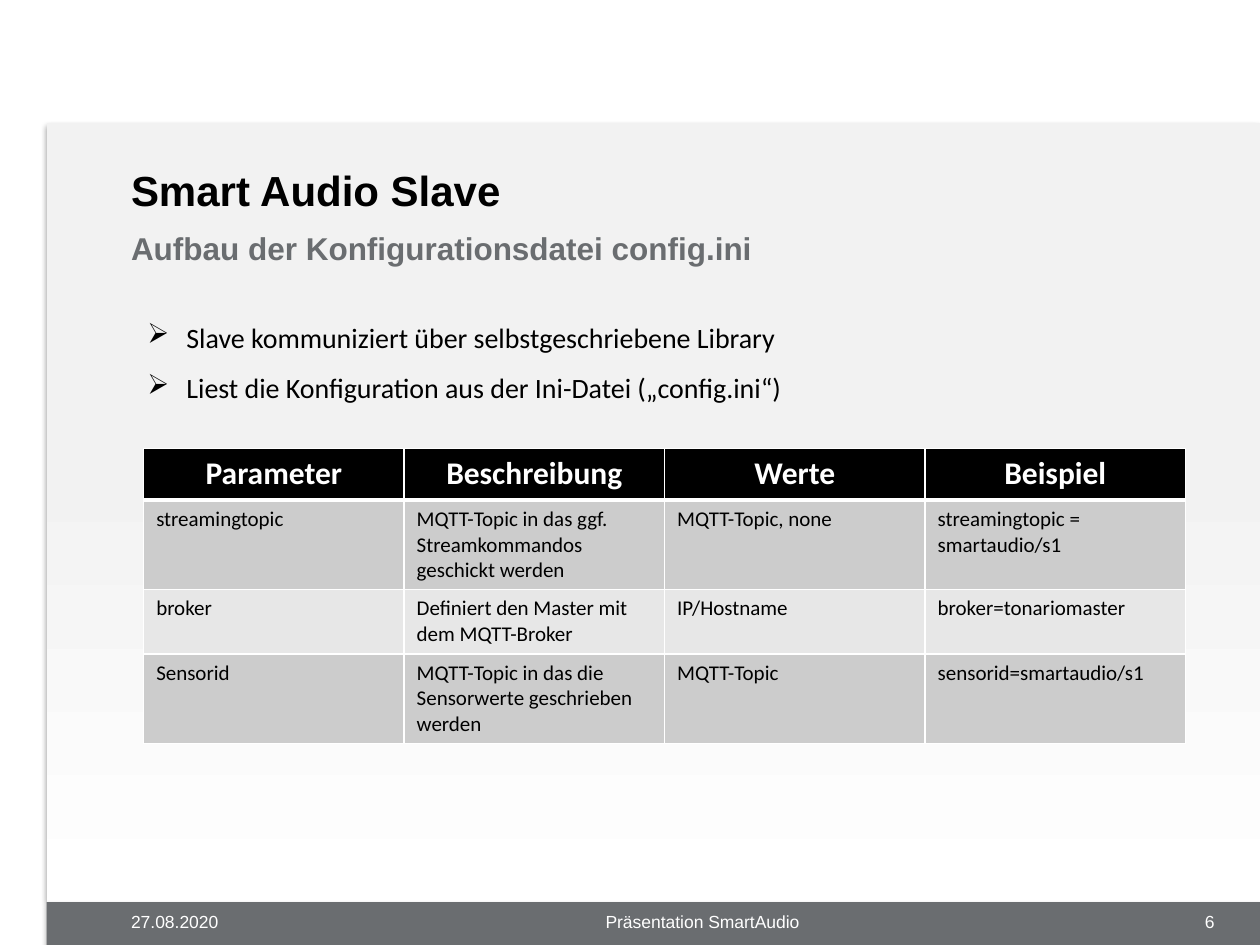
from lxml import etree
from pptx import Presentation
from pptx.dml.color import RGBColor
from pptx.enum.shapes import MSO_SHAPE
from pptx.enum.text import MSO_ANCHOR, PP_ALIGN
from pptx.oxml import parse_xml
from pptx.oxml.ns import nsdecls, qn
from pptx.util import Inches, Pt

COLORS = {
    "black": "000000", "white": "FFFFFF", "panel": "F2F2F2",
    "slate": "6A6D70", "row_dark": "CCCCCC", "row_light": "E7E7E7",
}
RGB = {name: RGBColor.from_string(value) for name, value in COLORS.items()}

deck = Presentation()
deck.slide_width, deck.slide_height = Inches(10), Inches(7.5)
page = deck.slides.add_slide(deck.slide_layouts[6])


def add_text(lines, left, top, width, height, size, color, font="Arial",
             bold=False, align=PP_ALIGN.LEFT, anchor=MSO_ANCHOR.TOP, inset=0.05):
    box = page.shapes.add_textbox(Inches(left), Inches(top), Inches(width), Inches(height))
    frame = box.text_frame
    frame.text = "\n".join(lines)
    frame.word_wrap = True
    frame.vertical_anchor = anchor
    frame.margin_left = frame.margin_right = 0
    frame.margin_top = frame.margin_bottom = Inches(inset)
    for para in frame.paragraphs:
        para.alignment = align
        style_runs(para, size, color, font, bold)
    return frame


def style_runs(para, size, color, font, bold):
    for span in para.runs:
        span.font.size, span.font.name, span.font.bold = Pt(size), font, bold
        span.font.color.rgb = RGB[color]


# Background panel and footer bar, both with a soft shadow
for name, top, height in (("panel", 0.98, 6.18), ("slate", 7.16, 0.4)):
    band = page.shapes.add_shape(MSO_SHAPE.RECTANGLE, Inches(0.37), Inches(top),
                                 Inches(9.63), Inches(height))
    band.line.fill.background()
    if name == "panel":
        band.fill.gradient()
        band.fill.gradient_angle = 270
        for stop, color, position in zip(band.fill.gradient_stops,
                                         ("panel", "white"), (0.43, 1)):
            stop.color.rgb = RGB[color]
            stop.position = position
    else:
        band.fill.solid()
        band.fill.fore_color.rgb = RGB[name]
    band._element.spPr.append(parse_xml(
        f'<a:effectLst {nsdecls("a")}><a:outerShdw blurRad="{Pt(3.1)}" dist="{Pt(1.8)}" '
        f'dir="5400000" rotWithShape="0"><a:srgbClr val="{COLORS["black"]}">'
        '<a:alpha val="35000"/></a:srgbClr></a:outerShdw></a:effectLst>'))

# Parameter table
rows = [
    ["Parameter", "Beschreibung", "Werte", "Beispiel"],
    ["streamingtopic", "MQTT-Topic in das ggf. Streamkommandos geschickt werden",
     "MQTT-Topic, none", "streamingtopic = smartaudio/s1"],
    ["broker", "Definiert den Master mit dem MQTT-Broker",
     "IP/Hostname", "broker=tonariomaster"],
    ["Sensorid", "MQTT-Topic in das die Sensorwerte geschrieben werden",
     "MQTT-Topic", "sensorid=smartaudio/s1"],
]
row_heights = [0.41, 0.7, 0.51, 0.7]
row_fills = ["black", "row_dark", "row_light", "row_dark"]
table = page.shapes.add_table(4, 4, Inches(1.14), Inches(3.56),
                              Inches(8.27), Inches(sum(row_heights))).table
for row_index, values in enumerate(rows):
    table.rows[row_index].height = Inches(row_heights[row_index])
    header = row_index == 0
    for column_index, value in enumerate(values):
        cell = table.cell(row_index, column_index)
        cell.text = value
        cell.fill.solid()
        cell.fill.fore_color.rgb = RGB[row_fills[row_index]]
        para = cell.text_frame.paragraphs[0]
        para.alignment = PP_ALIGN.CENTER if header else PP_ALIGN.LEFT
        style_runs(para, 18 if header else 12, "white" if header else "black",
                   "Calibri", header)
        # White cell borders, thick below the header
        thick_side = {0: "lnB", 1: "lnT"}.get(row_index)
        for place, side in enumerate(("lnL", "lnR", "lnT", "lnB")):
            width = Pt(3 if side == thick_side else 0.96)
            cell._tc.get_or_add_tcPr().insert(place, parse_xml(
                f'<a:{side} {nsdecls("a")} w="{width}"><a:solidFill>'
                f'<a:srgbClr val="{COLORS["white"]}"/></a:solidFill></a:{side}>'))

# Title and subtitle
title = add_text(["Smart Audio Slave"], 1.04, 1.26, 8.6, 0.49, 24, "black",
                 bold=True, anchor=MSO_ANCHOR.BOTTOM)
title.paragraphs[0].line_spacing = 0.8
subtitle = add_text(["Aufbau der Konfigurationsdatei config.ini"], 1.04, 1.75, 8.6, 0.42,
                    18, "slate", bold=True, anchor=MSO_ANCHOR.BOTTOM)
subtitle.paragraphs[0].space_before = subtitle.paragraphs[0].space_after = Pt(8)

# Bullet list
bullets = add_text(["Slave kommuniziert über selbstgeschriebene Library",
                    "Liest die Konfiguration aus der Ini-Datei („config.ini“)"],
                   1.17, 2.41, 5.04, 0.8, 16, "black", font="Calibri", inset=0)
bullets.word_wrap = False
for para in bullets.paragraphs:
    para.line_spacing = 1.5
    properties = para._p.get_or_add_pPr()
    properties.set("marL", str(Inches(0.31)))
    properties.set("indent", str(-Inches(0.31)))
    bullet_color = etree.SubElement(properties, qn("a:buClr"))
    etree.SubElement(bullet_color, qn("a:srgbClr"), val=COLORS["black"])
    etree.SubElement(properties, qn("a:buChar"), char="➢")

# Footer: date, talk name, page number
for text, left, width, align in (
    ("27.08.2020", 1.04, 1.15, PP_ALIGN.LEFT),
    ("Präsentation SmartAudio", 2.44, 6.27, PP_ALIGN.CENTER),
    ("6", 8.97, 0.67, PP_ALIGN.RIGHT),
):
    add_text([text], left, 7.18, width, 0.21, 10, "white", align=align)

deck.save("out.pptx")
